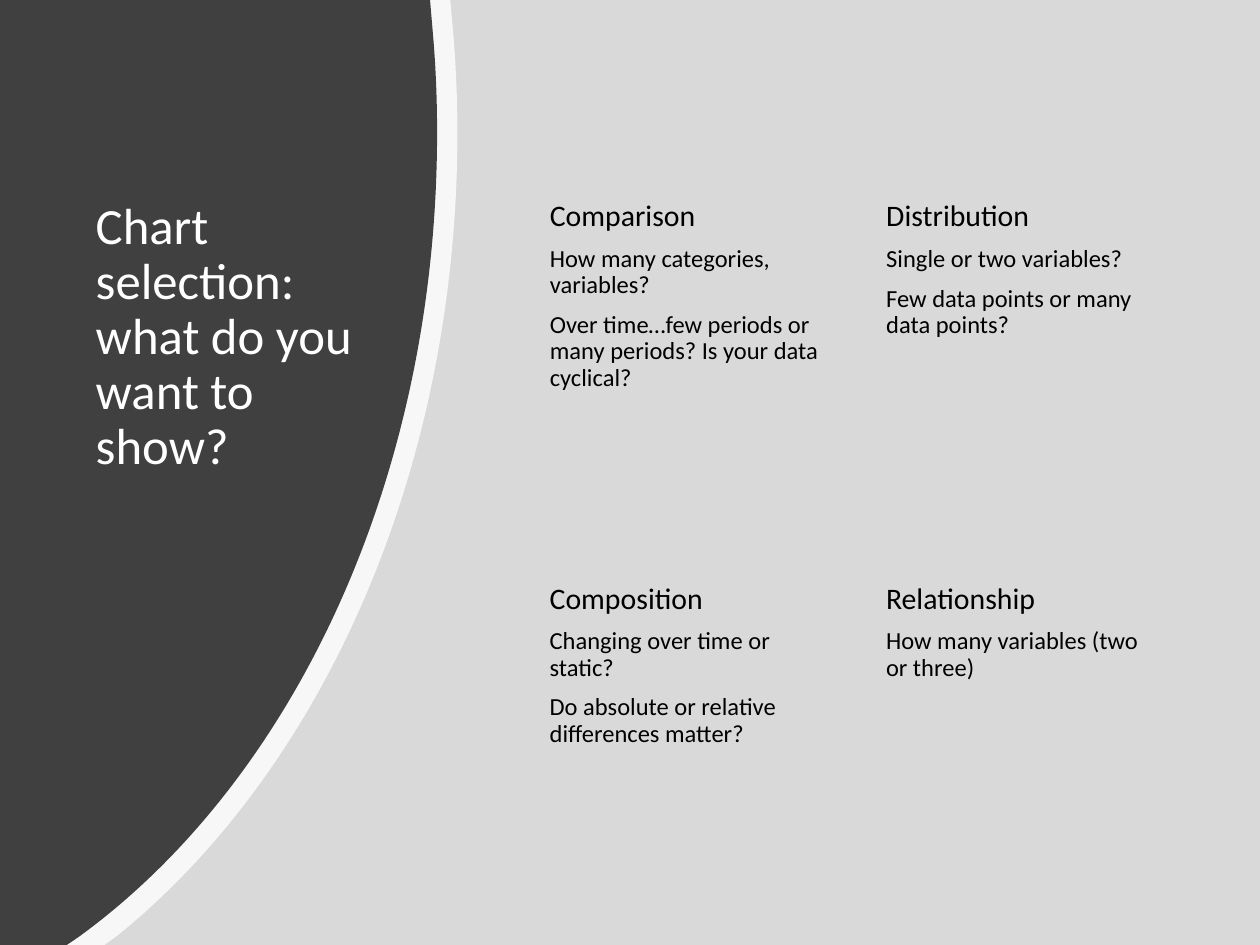
from dataclasses import dataclass

from lxml.etree import SubElement
from pptx import Presentation
from pptx.dml.color import RGBColor
from pptx.enum.shapes import MSO_SHAPE
from pptx.enum.text import MSO_ANCHOR, MSO_AUTO_SIZE, PP_ALIGN
from pptx.oxml.ns import qn
from pptx.util import Pt


@dataclass(frozen=True)
class Theme:
    """Hold the colours, font and type sizes of the slide."""
    backdrop: str = "D9D9D9"
    panel: str = "404040"
    light: str = "FFFFFF"
    dark: str = "000000"
    font: str = "Calibri"
    title_size: float = 29
    heading_size: float = 17
    body_size: float = 14


THEME = Theme()
WIDTH, HEIGHT = 720, 540
TOPICS = [
    ("Comparison", "How many categories, variables?",
     "Over time…few periods or many periods? Is your data cyclical?"),
    ("Distribution", "Single or two variables?",
     "Few data points or many data points?"),
    ("Composition", "Changing over time or static?",
     "Do absolute or relative differences matter?"),
    ("Relationship", "How many variables (two or three)"),
]
COLUMNS = (307, 499.2)
ROWS = (111.2, 329.8)
TOPIC_WIDTH = 173
TOPIC_HEIGHTS = (149, 190)
RIM_EDGE = [(257.3, 0), (259.2, 21), (260.6, 39), (261.4, 57.6), (261.4, 75.6),
            (261.4, 270), (183.6, 440), (67.7, 534.2), (59.8, HEIGHT)]
PANEL_EDGE = [(245.8, 0), (247.7, 22.3), (249.1, 39.6), (249.8, 57.6), (249.8, 75.6),
              (249.8, 274.3), (167, 447), (44.6, 535.7), (38.2, HEIGHT)]


def paint(shape, color, opacity=None):
    """Give a shape a plain fill with no line or shadow."""
    shape.shadow.inherit = False
    shape.line.fill.background()
    shape.fill.solid()
    shape.fill.fore_color.rgb = RGBColor.from_string(color)
    if opacity is not None:
        color_element = shape.element.spPr.find(qn("a:solidFill"))[0]
        SubElement(color_element, qn("a:alpha"), val=str(opacity * 1000))


def bend(segments):
    """Turn three straight segments into one cubic curve through their points."""
    outline = segments[0].getparent()
    curve = SubElement(outline, qn("a:cubicBezTo"))
    outline.replace(segments[0], curve)
    for segment in segments:
        curve.append(segment[0])
    for segment in segments[1:]:
        outline.remove(segment)


def add_curved_panel(slide, edge, color, opacity=None):
    """Fill the area from the left side of the slide to an edge of two curves."""
    builder = slide.shapes.build_freeform(0, 0)
    builder.add_line_segments([(Pt(x), Pt(y)) for x, y in (*edge, (0, HEIGHT))], close=True)
    shape = builder.convert_to_shape()
    segments = list(shape.element.iter(qn("a:lnTo")))
    bend(segments[2:5])
    bend(segments[5:8])
    paint(shape, color, opacity)


def place(shape, left, top, width, height):
    """Position a text shape and let its text wrap from the top."""
    shape.left, shape.top, shape.width, shape.height = map(Pt, (left, top, width, height))
    frame = shape.text_frame
    frame.word_wrap = True
    frame.auto_size = MSO_AUTO_SIZE.NONE
    frame.vertical_anchor = MSO_ANCHOR.TOP


def write(paragraph, text, *, size, color, space_before=0):
    """Write one formatted paragraph without a bullet."""
    properties = paragraph._p.get_or_add_pPr()
    properties.set("marL", "0")
    properties.set("indent", "0")
    SubElement(properties, qn("a:buNone"))
    paragraph.alignment = PP_ALIGN.LEFT
    paragraph.line_spacing = 0.9
    paragraph.space_before = Pt(space_before)
    paragraph.space_after = Pt(0)
    run = paragraph.add_run()
    run.text = text
    run.font.name = THEME.font
    run.font.size = Pt(size)
    run.font.color.rgb = RGBColor.from_string(color)


def write_topic(shape, heading, *questions):
    """Write a heading and the questions under it."""
    frame = shape.text_frame
    write(frame.paragraphs[0], heading, size=THEME.heading_size, color=THEME.dark)
    for question in questions:
        write(frame.add_paragraph(), question, size=THEME.body_size,
              color=THEME.dark, space_before=7.5)


def main():
    """Build and save the slide."""
    presentation = Presentation()
    presentation.slide_width, presentation.slide_height = Pt(WIDTH), Pt(HEIGHT)
    slide = presentation.slides.add_slide(presentation.slide_layouts.get_by_name("Two Content"))
    title, *bodies = slide.placeholders

    backdrop = slide.shapes.add_shape(MSO_SHAPE.RECTANGLE, 0, 0, Pt(WIDTH), Pt(HEIGHT))
    paint(backdrop, THEME.backdrop)
    add_curved_panel(slide, RIM_EDGE, THEME.light, opacity=80)
    add_curved_panel(slide, PANEL_EDGE, THEME.panel)
    for placeholder in (title, *bodies):
        slide.shapes.element.append(placeholder.element)

    place(title, 47.5, ROWS[0], 169, 170)
    write(title.text_frame.paragraphs[0], "Chart selection: what do you want to show?",
          size=THEME.title_size, color=THEME.light)

    for index, topic in enumerate(TOPICS):
        row, column = divmod(index, len(COLUMNS))
        shape = bodies[column] if row == 0 else slide.shapes.add_textbox(0, 0, 0, 0)
        place(shape, COLUMNS[column], ROWS[row], TOPIC_WIDTH, TOPIC_HEIGHTS[column])
        write_topic(shape, *topic)

    presentation.save("out.pptx")


if __name__ == "__main__":
    main()
